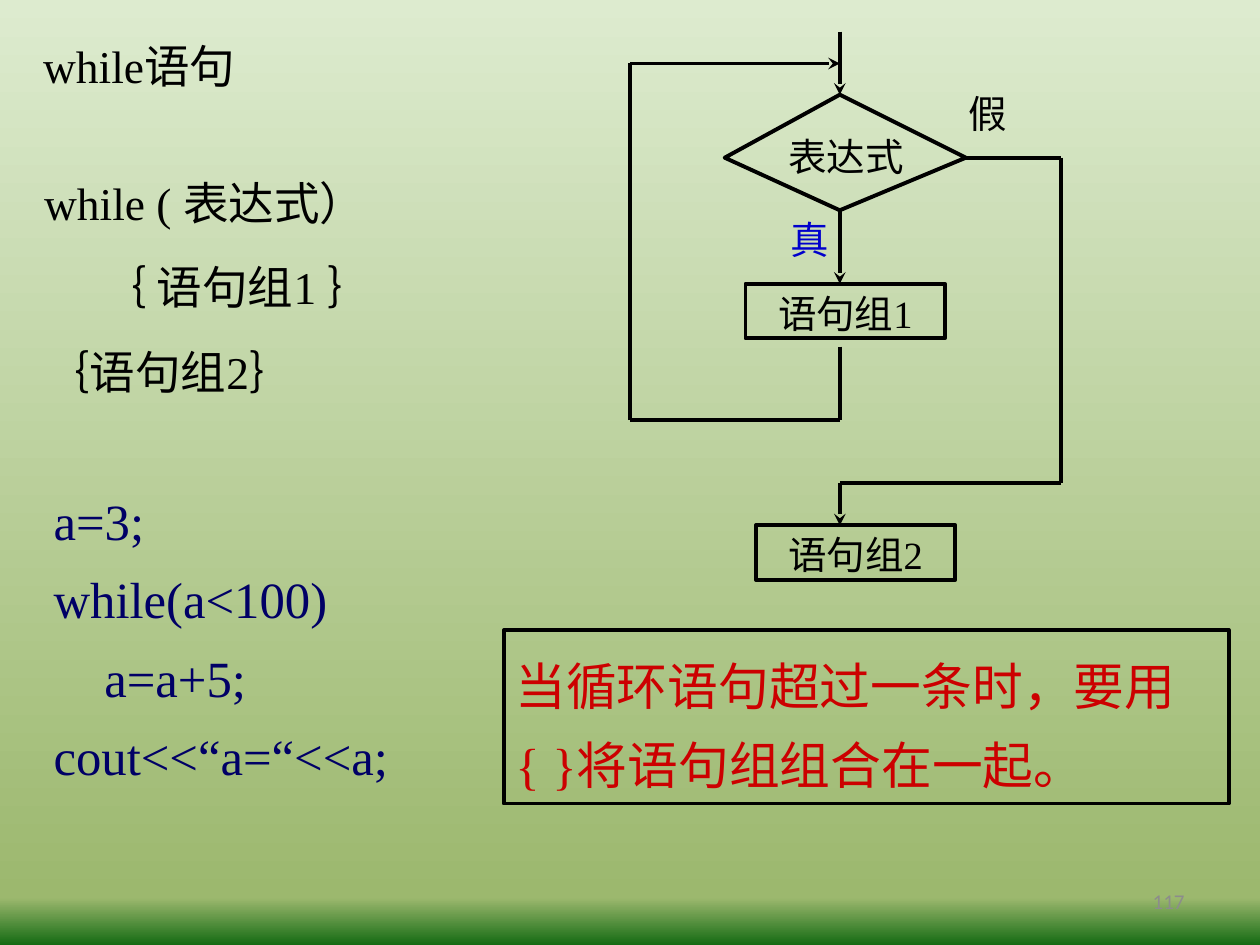
from copy import deepcopy

from lxml import etree
from pptx import Presentation
from pptx.dml.color import RGBColor
from pptx.enum.shapes import MSO_CONNECTOR, MSO_SHAPE
from pptx.enum.text import MSO_ANCHOR, PP_ALIGN
from pptx.oxml.ns import qn
from pptx.util import Cm, Pt

STRAIGHT = MSO_CONNECTOR.STRAIGHT
RECTANGLE = MSO_SHAPE.RECTANGLE
MIDDLE = MSO_ANCHOR.MIDDLE
TOP = MSO_ANCHOR.TOP
LEFT = PP_ALIGN.LEFT
CENTER = PP_ALIGN.CENTER
RIGHT = PP_ALIGN.RIGHT

BLACK = "000000"
BLUE = "0000CC"
NAVY = "000066"
RED = "CC0000"
GREY = "8C8C8C"
SERIF = "Times New Roman"
LINE_WIDTH = Pt(2.25)
NARROW = (0.05, 0.03)
WIDE = (0.23, 0.13)


def color(value):
    return RGBColor.from_string(value)


def set_background(slide, stops):
    fill = slide.background.fill
    fill.gradient()
    fill.gradient_angle = 270
    stop_list = slide._element.find(".//" + qn("a:gsLst"))
    while len(stop_list) < len(stops):
        stop_list.append(deepcopy(stop_list[-1]))
    for stop, (position, value) in zip(fill.gradient_stops, stops):
        stop.position = position
        stop.color.rgb = color(value)


def write_text(shape, lines, size, value=BLACK, font=SERIF, align=LEFT,
               spacing=1.0, before=0, insets=NARROW, anchor=TOP):
    frame = shape.text_frame
    frame.word_wrap = True
    frame.vertical_anchor = anchor
    frame.margin_left = frame.margin_right = Cm(insets[0])
    frame.margin_top = frame.margin_bottom = Cm(insets[1])
    for index, line in enumerate(lines):
        paragraph = frame.add_paragraph() if index else frame.paragraphs[0]
        paragraph.alignment = align
        paragraph.line_spacing = spacing
        if index:
            paragraph.space_before = Pt(before)
        run = paragraph.add_run()
        run.text = line
        run.font.size = Pt(size)
        run.font.name = font
        run.font.color.rgb = color(value)


def add_text(slide, box, lines, size, **style):
    shape = slide.shapes.add_textbox(*map(Cm, box))
    write_text(shape, lines, size, **style)
    return shape


def outline(shape):
    shape.shadow.inherit = False
    shape.fill.background()
    shape.line.color.rgb = color(BLACK)
    shape.line.width = LINE_WIDTH


def add_framed_text(slide, box, lines, size, **style):
    shape = slide.shapes.add_shape(RECTANGLE, *map(Cm, box))
    outline(shape)
    write_text(shape, lines, size, **style)


def add_route(slide, points, arrow):
    for index, (start, end) in enumerate(zip(points, points[1:]), 2):
        connector = slide.shapes.add_connector(STRAIGHT, *map(Cm, start + end))
        connector.line.color.rgb = color(BLACK)
        connector.line.width = LINE_WIDTH
        properties = connector._element.spPr
        etree.SubElement(properties, qn("a:effectLst"))
        if arrow and index == len(points):
            line = properties.find(qn("a:ln"))
            etree.SubElement(line, qn("a:tailEnd"), type="stealth")


def add_syntax(slide, left, top):
    add_text(slide, (left, top, 4.39, 1.35), ["while语句"], 26, insets=WIDE)
    syntax = add_text(
        slide, (left + 0.2, top + 2.74, 8.86, 4.8),
        ["while ( 表达式）", "｛ 语句组1 ｝", "｛语句组2｝"],
        26, spacing=1.1, before=14)
    body = syntax.text_frame.paragraphs[1]
    body._p.get_or_add_pPr().set("marL", str(Cm(1.15)))


def add_example(slide, box):
    code = ["a=3;", "while(a<100)", "    a=a+5;", "cout<<“a=“<<a;"]
    add_text(slide, box, code, 29, value=NAVY, before=10, insets=WIDE)


def add_flowchart(slide, left, top):
    def place(x, y):
        return (left + x, top + y)

    axis, true_side, false_side, exit_side = 4.23, 1.91, 6.77, 8.68
    entry, test_top, test_middle, test_bottom = 0.64, 1.27, 2.54, 3.6
    body_top, loop_start, loop_bottom = 5.08, 6.35, 7.83
    exit_bottom, next_top = 9.1, 9.95
    block = (4.02, 1.1)
    label_style = {"spacing": 1.1}

    corners = [(axis, test_top), (false_side, test_middle),
               (axis, test_bottom), (true_side, test_middle)]
    points = [tuple(map(Cm, place(*corner))) for corner in corners]
    builder = slide.shapes.build_freeform(*points[0])
    builder.add_line_segments(points[1:], close=True)
    outline(builder.convert_to_shape())

    routes = [
        ([(axis, 0), (axis, test_top)], True),
        ([(axis, test_bottom), (axis, body_top)], True),
        ([(axis, loop_start), (axis, loop_bottom), (0, loop_bottom),
          (0, entry), (axis, entry)], True),
        ([(false_side, test_middle), (exit_side, test_middle),
          (exit_side, exit_bottom), (axis, exit_bottom),
          (axis, next_top)], True),
    ]
    for route, arrow in routes:
        add_route(slide, [place(*point) for point in route], arrow)

    for x, y, name in [(2.33, body_top, "语句组1"), (2.54, next_top, "语句组2")]:
        add_framed_text(slide, place(x, y) + block, [name], 22,
                        align=CENTER, **label_style)

    labels = [
        (2.77, 1.91, 3.18, "表达式", BLACK, CENTER),
        (3.18, test_bottom, 1.27, "真", BLUE, LEFT),
        (false_side, 1.06, 2.11, "假", BLACK, LEFT),
    ]
    for x, y, width, name, value, align in labels:
        add_text(slide, place(x, y) + (width, 1.1), [name], 22,
                 value=value, align=align, **label_style)


def add_rule(slide, box):
    add_framed_text(slide, box, ["当循环语句超过一条时，要用{ }将语句组组合在一起。"],
                    29, value=RED, spacing=1.3, insets=WIDE)


def add_page_number(slide, box):
    add_text(slide, box, ["117"], 12, value=GREY, font="Calibri",
             align=RIGHT, insets=(0.25, 0.13), anchor=MIDDLE)


def main():
    presentation = Presentation()
    presentation.slide_width = Cm(25.4)
    presentation.slide_height = Cm(19.05)
    slide = presentation.slides.add_slide(presentation.slide_layouts[6])
    set_background(slide, [(0, "DDEBCF"), (0.95, "9CB86E"), (1, "156B13")])
    add_page_number(slide, (18.2, 17.66, 5.93, 1.01))
    add_syntax(slide, 0.64, 0.64)
    add_flowchart(slide, 12.7, 0.64)
    add_example(slide, (0.85, 9.74, 10.58, 6.32))
    add_rule(slide, (10.16, 12.7, 14.61, 3.5))
    presentation.save("out.pptx")


if __name__ == "__main__":
    main()
